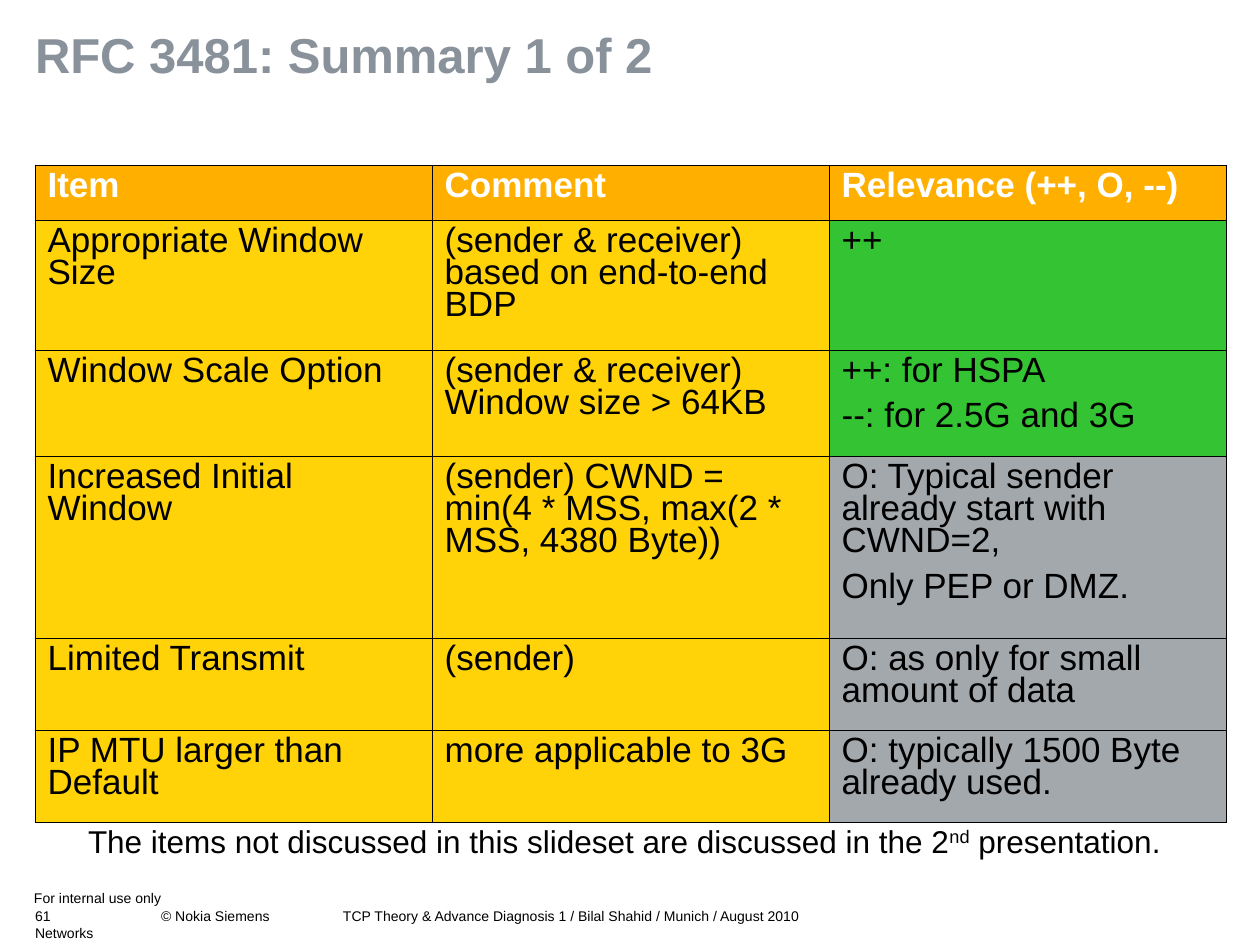
import pptx
import pptx.dml.color
import pptx.oxml
import pptx.oxml.ns
import pptx.util
from dataclasses import dataclass


@dataclass(frozen=True)
class Theme:
    font: str = "Arial"
    black: str = "000000"
    white: str = "FFFFFF"
    title_gray: str = "89929B"
    header: str = "FFAF00"
    item: str = "FFD308"
    relevant: str = "34C333"
    neutral: str = "A3A8AD"
    title_size: int = 28
    table_size: int = 20
    note_size: int = 18
    footer_size: int = 8
    outer_line: float = 0.5
    inner_line: float = 0.23


def px(length):
    return pptx.util.Emu(round(length * 914400 / 126))


def rgb(color):
    return pptx.dml.color.RGBColor.from_string(color)


class SlideBuilder:
    def __init__(self, deck, theme):
        self.theme = theme
        self.page = deck.slides.add_slide(deck.slide_layouts[6])

    def style(self, para, size, color, bold=False, spacing=None):
        if spacing:
            para.line_spacing = spacing
        para.font.name = self.theme.font
        para.font.size = pptx.util.Pt(size)
        para.font.bold = bold
        para.font.color.rgb = rgb(color)

    def text(self, place, spans, size, color=None, bold=False, spacing=None,
             inset=(0, 0), wrap=True, tab=None):
        box = self.page.shapes.add_textbox(*map(px, place))
        frame = box.text_frame
        frame.word_wrap = wrap
        frame.margin_left = frame.margin_right = px(inset[0])
        frame.margin_top = frame.margin_bottom = px(inset[1])
        para = frame.paragraphs[0]
        if tab:
            namespace = pptx.oxml.ns.nsdecls("a")
            para._p.get_or_add_pPr().append(pptx.oxml.parse_xml(
                f'<a:tabLst {namespace}><a:tab pos="{px(tab)}" algn="l"/></a:tabLst>'))
        for words, raised in spans:
            span = para.add_run()
            span.text = words
            if raised:
                span._r.get_or_add_rPr().set("baseline", "30000")
        self.style(para, size, color or self.theme.black, bold, spacing)

    def border(self, cell, side, width):
        cell._tc.get_or_add_tcPr().append(pptx.oxml.parse_xml(
            f'<a:ln{side} {pptx.oxml.ns.nsdecls("a")} w="{pptx.util.Pt(width)}">'
            f'<a:solidFill><a:srgbClr val="{self.theme.black}"/></a:solidFill>'
            f'</a:ln{side}>'))

    def cell(self, cell, lines, fill, color, bold, outer_sides):
        for side in "LRTB":
            outer = side in outer_sides
            self.border(cell, side,
                        self.theme.outer_line if outer else self.theme.inner_line)
        cell.fill.solid()
        cell.fill.fore_color.rgb = rgb(fill)
        cell.text = lines
        for index, para in enumerate(cell.text_frame.paragraphs):
            if index:
                para.space_before = pptx.util.Pt(7.5)
            self.style(para, self.theme.table_size, color, bold, 0.83)

    def table(self, left, top, column_width, heights, rows, fills):
        row_count, column_count = len(rows), len(rows[0])
        table = self.page.shapes.add_table(
            row_count, column_count, px(left), px(top),
            px(column_width * column_count), px(sum(heights))).table
        table.first_row = True
        table.horz_banding = False
        for column in table.columns:
            column.width = px(column_width)
        for r, (row, row_fills) in enumerate(zip(rows, fills)):
            table.rows[r].height = px(heights[r])
            for c, (lines, fill) in enumerate(zip(row, row_fills)):
                edges = {"L": c == 0, "R": c == column_count - 1,
                         "T": r == 0, "B": r == row_count - 1}
                outer_sides = [side for side, outer in edges.items() if outer]
                color = self.theme.white if r == 0 else self.theme.black
                self.cell(table.cell(r, c), lines, fill, color, r == 0, outer_sides)


def main():
    theme = Theme()
    deck = pptx.Presentation()
    deck.slide_width = px(1260)
    deck.slide_height = px(945)
    slide = SlideBuilder(deck, theme)

    footers = [
        ((34, 890, 420, 19), "For internal use only", None),
        ((35, 908, 294, 34), "61\t© Nokia Siemens Networks", 126),
        ((343, 908, 525, 17),
         "TCP Theory & Advance Diagnosis 1 / Bilal Shahid / Munich / August 2010", None),
    ]
    for place, words, tab in footers:
        slide.text(place, [(words, False)], theme.footer_size, tab=tab)

    slide.text((35, 31, 1189, 113), [("RFC 3481: Summary 1 of 2", False)],
               theme.title_size, theme.title_gray, bold=True, spacing=0.9)

    rows = [
        ("Item", "Comment", "Relevance (++, O, --)"),
        ("Appropriate Window Size", "(sender & receiver) based on end-to-end BDP", "++"),
        ("Window Scale Option", "(sender & receiver) Window size > 64KB",
         "++: for HSPA\n--: for 2.5G and 3G"),
        ("Increased Initial Window",
         "(sender) CWND = min(4 * MSS, max(2 * MSS, 4380 Byte))",
         "O: Typical sender already start with CWND=2,\nOnly PEP or DMZ."),
        ("Limited Transmit", "(sender)", "O: as only for small amount of data"),
        ("IP MTU larger than Default", "more applicable to 3G",
         "O: typically 1500 Byte already used."),
    ]
    relevance_fills = [theme.relevant] * 2 + [theme.neutral] * 3
    fills = [(theme.header,) * 3]
    fills += [(theme.item, theme.item, fill) for fill in relevance_fills]
    slide.table(35, 165, 397, (55, 130, 106, 182, 92, 93), rows, fills)

    slide.text((76, 820, 1112, 47),
               [("The items not discussed in this slideset are discussed in the 2", False),
                ("nd", True), (" presentation.", False)],
               theme.note_size, spacing=0.9, inset=(12, 6), wrap=False)

    deck.save("out.pptx")


if __name__ == "__main__":
    main()
